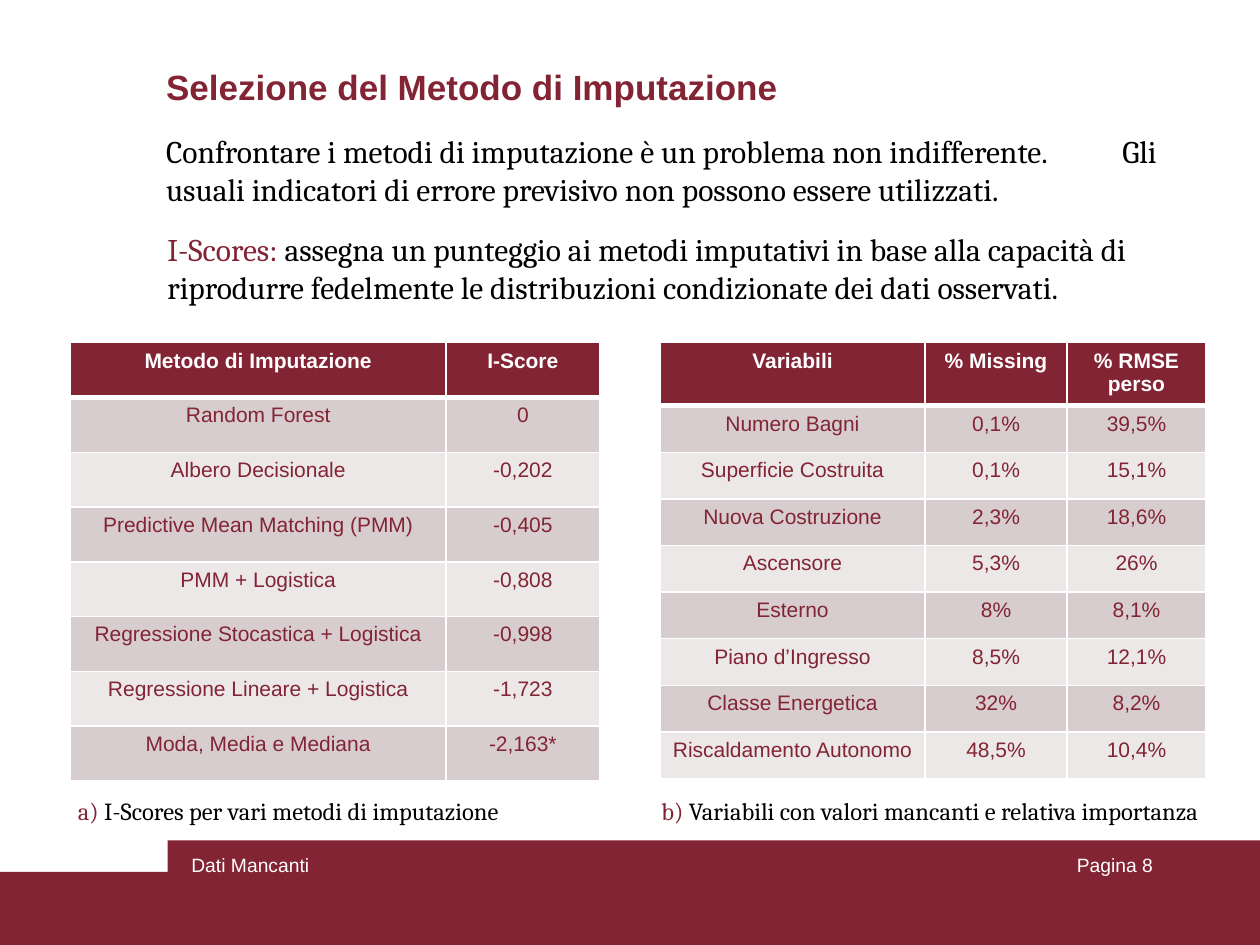
"""Build the slide on choosing an imputation method."""
from dataclasses import dataclass

from lxml import etree
from pptx import Presentation
from pptx.dml.color import RGBColor
from pptx.enum.shapes import MSO_SHAPE
from pptx.enum.text import PP_ALIGN
from pptx.oxml.ns import qn
from pptx.slide import Slide
from pptx.table import _Cell
from pptx.text.text import _Paragraph
from pptx.util import Inches, Pt

RECTANGLE = MSO_SHAPE.RECTANGLE
LEFT, CENTER, RIGHT = PP_ALIGN.LEFT, PP_ALIGN.CENTER, PP_ALIGN.RIGHT
COLORS = {
    "burgundy": "822433",
    "white": "FFFFFF",
    "black": "000000",
    "dark_band": "D8CDCE",
    "light_band": "EDE8E8",
}


@dataclass
class Run:
    text: str
    color: str


@dataclass
class TextBlock:
    box: tuple[float, float, float, float]
    runs: list[Run]
    size: int
    font: str = "Cambria"
    bold: bool = False
    align: PP_ALIGN = LEFT
    tab: float | None = None


@dataclass
class DataTable:
    left: float
    columns: list[float]
    row_height: float
    rows: list[tuple[str, ...]]


BANDS = [(0, 6.92, 10, 0.58), (1.33, 6.67, 8.67, 0.83)]

TEXT_BLOCKS = [
    TextBlock((7.17, 6.72, 2.08, 0.5), [Run("Pagina 8", "white")], 11, "Arial", align=RIGHT),
    TextBlock((1.22, 0.47, 8.11, 0.55),
              [Run("Selezione del Metodo di Imputazione", "burgundy")], 20, "Arial", bold=True),
    TextBlock((1.42, 6.72, 2.55, 0.38), [Run("Dati Mancanti", "white")], 11, "Arial"),
    TextBlock((1.22, 1, 8.1, 0.78),
              [Run("Confrontare i metodi di imputazione è un problema non indifferente.\tGli "
                   "usuali indicatori di errore previsivo non possono essere utilizzati.", "black")],
              18, tab=7.59),
    TextBlock((1.23, 1.78, 8.1, 0.78),
              [Run("I-Scores:", "burgundy"),
               Run(" assegna un punteggio ai metodi imputativi in base alla capacità di "
                   "riprodurre fedelmente le distribuzioni condizionate dei dati osservati.", "black")],
              18),
    TextBlock((0.52, 6.27, 9.31, 0.38),
              [Run("a)", "burgundy"),
               Run(" I-Scores per vari metodi di imputazione\t", "black"),
               Run("b)", "burgundy"),
               Run(" Variabili con valori mancanti e relativa importanza", "black")],
              14, tab=4.63),
]

TABLE_TOP = 2.72
TABLES = [
    DataTable(0.56, [2.98, 1.22], 0.435, [
        ("Metodo di Imputazione", "I-Score"),
        ("Random Forest", "0"),
        ("Albero Decisionale", "-0,202"),
        ("Predictive Mean Matching (PMM)", "-0,405"),
        ("PMM + Logistica", "-0,808"),
        ("Regressione Stocastica + Logistica", "-0,998"),
        ("Regressione Lineare + Logistica", "-1,723"),
        ("Moda, Media e Mediana", "-2,163*"),
    ]),
    DataTable(5.24, [2.1, 1.13, 1.1], 0.37, [
        ("Variabili", "% Missing", "% RMSE\nperso"),
        ("Numero Bagni", "0,1%", "39,5%"),
        ("Superficie Costruita", "0,1%", "15,1%"),
        ("Nuova Costruzione", "2,3%", "18,6%"),
        ("Ascensore", "5,3%", "26%"),
        ("Esterno", "8%", "8,1%"),
        ("Piano d’Ingresso", "8,5%", "12,1%"),
        ("Classe Energetica", "32%", "8,2%"),
        ("Riscaldamento Autonomo", "48,5%", "10,4%"),
    ]),
]


def rgb(name: str) -> RGBColor:
    """Return the named colour."""
    return RGBColor.from_string(COLORS[name])


def add_run(paragraph: _Paragraph, content: Run, size: int, font: str, bold: bool) -> None:
    """Append one formatted run."""
    run = paragraph.add_run()
    run.text = content.text
    run.font.size = Pt(size)
    run.font.name = font
    run.font.bold = bold
    run.font.color.rgb = rgb(content.color)


def add_tab_stop(paragraph: _Paragraph, position: float) -> None:
    """Set a left tab stop at a distance from the text edge."""
    properties = paragraph._p.get_or_add_pPr()
    tab_list = etree.SubElement(properties, qn("a:tabLst"))
    etree.SubElement(tab_list, qn("a:tab"), pos=str(Inches(position)), algn="l")


def add_band(slide: Slide, box: tuple[float, float, float, float]) -> None:
    """Draw one footer band."""
    shape = slide.shapes.add_shape(RECTANGLE, *map(Inches, box))
    shape.shadow.inherit = False
    shape.fill.solid()
    shape.fill.fore_color.rgb = rgb("burgundy")
    shape.line.fill.background()


def add_text_block(slide: Slide, block: TextBlock) -> None:
    """Draw one text box."""
    frame = slide.shapes.add_textbox(*map(Inches, block.box)).text_frame
    frame.word_wrap = True
    paragraph = frame.paragraphs[0]
    paragraph.alignment = block.align
    if block.tab is not None:
        add_tab_stop(paragraph, block.tab)
    for content in block.runs:
        add_run(paragraph, content, block.size, block.font, block.bold)


def set_borders(cell: _Cell, top: int, bottom: int) -> None:
    """Give a cell white borders with the given top and bottom widths."""
    properties = cell._tc.get_or_add_tcPr()
    for side, width in (("L", 1), ("R", 1), ("T", top), ("B", bottom)):
        line = etree.SubElement(properties, qn(f"a:ln{side}"), w=str(Pt(width)))
        fill = etree.SubElement(line, qn("a:solidFill"))
        etree.SubElement(fill, qn("a:srgbClr"), val=COLORS["white"])


def fill_cell(cell: _Cell, text: str, row: int) -> None:
    """Write and style a cell according to its row."""
    header = row == 0
    set_borders(cell, top=3 if row == 1 else 1, bottom=3 if header else 1)
    cell.fill.solid()
    band = "dark_band" if row % 2 else "light_band"
    cell.fill.fore_color.rgb = rgb("burgundy" if header else band)
    for index, line in enumerate(text.split("\n")):
        frame = cell.text_frame
        paragraph = frame.add_paragraph() if index else frame.paragraphs[0]
        paragraph.alignment = CENTER
        add_run(paragraph, Run(line, "white" if header else "burgundy"), 12, "Arial", header)


def add_data_table(slide: Slide, data: DataTable) -> None:
    """Draw one banded table."""
    row_count = len(data.rows)
    table = slide.shapes.add_table(
        row_count, len(data.columns), Inches(data.left), Inches(TABLE_TOP),
        Inches(sum(data.columns)), Inches(data.row_height * row_count)).table
    for column, width in zip(table.columns, data.columns):
        column.width = Inches(width)
    for row_index, values in enumerate(data.rows):
        table.rows[row_index].height = Inches(data.row_height)
        for column_index, text in enumerate(values):
            fill_cell(table.cell(row_index, column_index), text, row_index)


def main() -> None:
    """Assemble and save the presentation."""
    presentation = Presentation()
    presentation.slide_width = Inches(10)
    presentation.slide_height = Inches(7.5)
    slide = presentation.slides.add_slide(presentation.slide_layouts[6])
    for box in BANDS:
        add_band(slide, box)
    for block in TEXT_BLOCKS:
        add_text_block(slide, block)
    for data in TABLES:
        add_data_table(slide, data)
    presentation.save("out.pptx")


if __name__ == "__main__":
    main()
